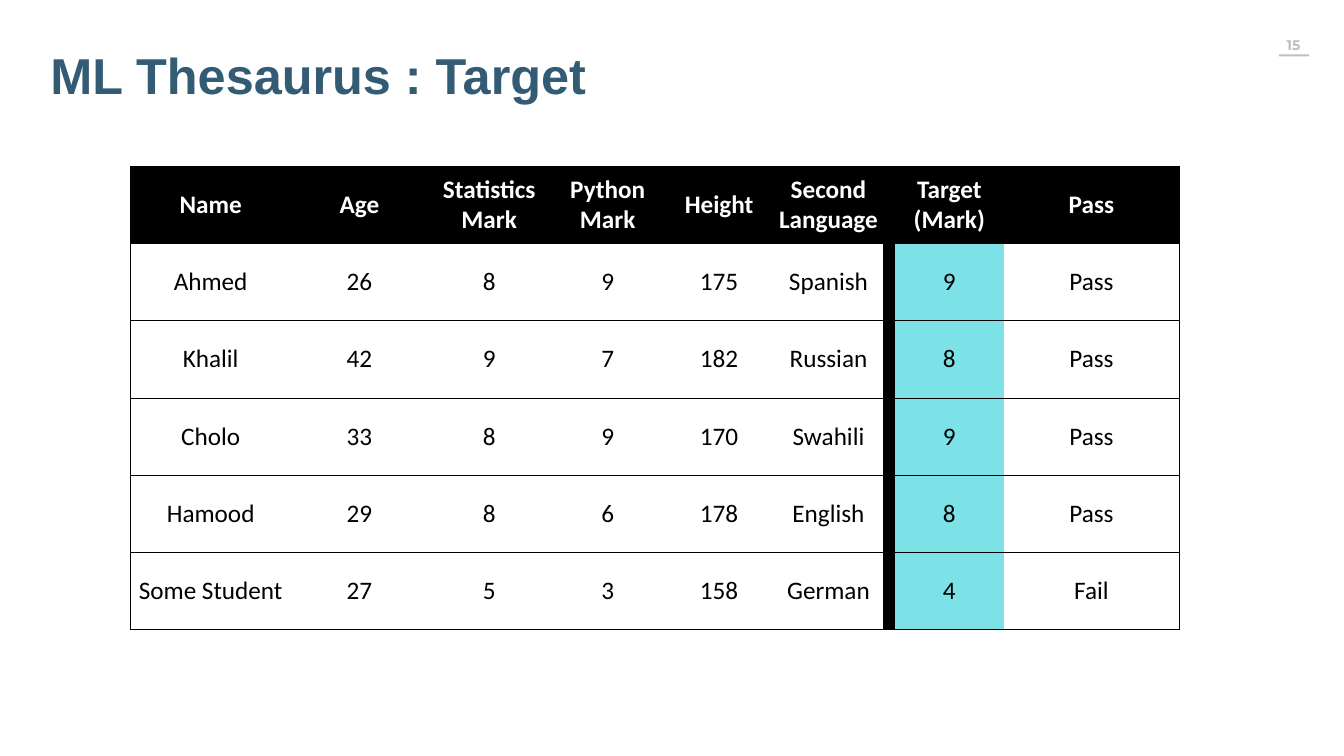
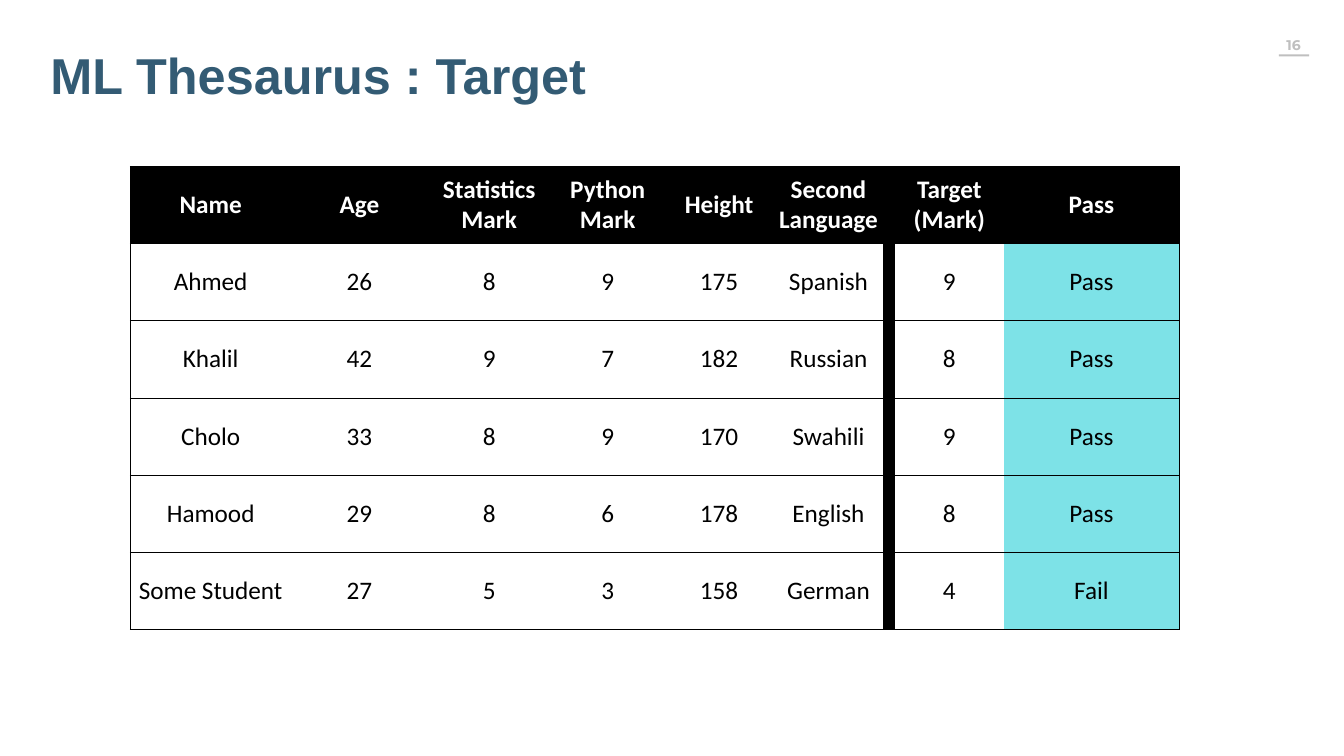
from dataclasses import dataclass

from lxml import etree
from pptx import Presentation
from pptx.dml.color import RGBColor
from pptx.enum.shapes import MSO_SHAPE
from pptx.enum.text import MSO_ANCHOR, MSO_AUTO_SIZE, PP_ALIGN
from pptx.oxml.ns import qn
from pptx.slide import Slide
from pptx.table import _Cell
from pptx.text.text import TextFrame
from pptx.util import Cm, Pt

RECTANGLE = MSO_SHAPE.RECTANGLE
MIDDLE = MSO_ANCHOR.MIDDLE
FIT_TEXT = MSO_AUTO_SIZE.SHAPE_TO_FIT_TEXT
LEFT, CENTER = PP_ALIGN.LEFT, PP_ALIGN.CENTER


@dataclass(frozen=True)
class TextStyle:
    font: str
    size: float
    color: str
    bold: bool
    align: PP_ALIGN


@dataclass(frozen=True)
class Theme:
    ink: str = "000000"
    highlight: str = "7DE2E7"
    muted: str = "BFBFBF"
    rule_width: float = 0.5
    title: TextStyle = TextStyle("Arial", 72, "335B74", True, LEFT)
    number: TextStyle = TextStyle("Montserrat", 20, "BFBFBF", True, CENTER)
    header: TextStyle = TextStyle("Calibri", 36, "FFFFFF", True, CENTER)
    body: TextStyle = TextStyle("Calibri", 36, "000000", False, CENTER)


@dataclass(frozen=True)
class Column:
    heading: str
    width: float
    values: tuple[str, ...] = ("",) * 5


@dataclass(frozen=True)
class TargetSlide:
    number: int
    target_column: int


THEME = Theme()
TITLE = "ML Thesaurus : Target"
COLUMNS = (
    Column("Name", 8.13, ("Ahmed", "Khalil", "Cholo", "Hamood", "Some Student")),
    Column("Age", 6.86, ("26", "42", "33", "29", "27")),
    Column("Statistics Mark", 6.22, ("8", "9", "8", "8", "5")),
    Column("Python Mark", 5.72, ("9", "7", "9", "6", "3")),
    Column("Height", 5.51, ("175", "182", "170", "178", "158")),
    Column("Second Language", 5.51, ("Spanish", "Russian", "Swahili", "English", "German")),
    Column("", 0.58),
    Column("Target\n(Mark)", 5.51, ("9", "8", "9", "8", "4")),
    Column("Pass", 8.81, ("Pass", "Pass", "Pass", "Pass", "Fail")),
)
DIVIDER = 6
ROW_HEIGHT = 3.89
SLIDES = (TargetSlide(15, 7), TargetSlide(16, 8))


def style_text(frame: TextFrame, style: TextStyle) -> None:
    """Apply one text style to every paragraph of a frame."""
    for para in frame.paragraphs:
        para.alignment = style.align
        for span in para.runs:
            span.font.name = style.font
            span.font.size = Pt(style.size)
            span.font.bold = style.bold
            span.font.color.rgb = RGBColor.from_string(style.color)


def draw_title(page: Slide) -> None:
    """Draw the shared slide title."""
    box = page.shapes.add_textbox(Cm(2.29), Cm(2.08), Cm(53.09), Cm(3.33))
    frame = box.text_frame
    frame.word_wrap = True
    frame.auto_size = FIT_TEXT
    frame.text = TITLE
    style_text(frame, THEME.title)


def draw_page_number(page: Slide, number: int) -> None:
    """Draw the underlined page number in the top right corner."""
    box = page.shapes.add_textbox(Cm(64.29), Cm(1.57), Cm(2.18), Cm(1.37))
    frame = box.text_frame
    frame.word_wrap = False
    frame.margin_left, frame.margin_right = Cm(0.51), Cm(0.91)
    frame.margin_top = frame.margin_bottom = Cm(0.25)
    frame.text = str(number)
    style_text(frame, THEME.number)

    underline = page.shapes.add_shape(RECTANGLE, Cm(64.44), Cm(2.74), Cm(1.52), Cm(0.1))
    underline.shadow.inherit = False
    underline.fill.solid()
    underline.fill.fore_color.rgb = RGBColor.from_string(THEME.muted)
    underline.line.fill.background()


def set_borders(cell: _Cell, left: bool, right: bool) -> None:
    """Rule a cell above and below, and at the sides when asked."""
    properties = cell._tc.get_or_add_tcPr()
    for side, visible in (("L", left), ("R", right), ("T", True), ("B", True)):
        line = etree.SubElement(properties, qn(f"a:ln{side}"))
        if visible:
            line.set("w", str(Pt(THEME.rule_width)))
            fill = etree.SubElement(line, qn("a:solidFill"))
            etree.SubElement(fill, qn("a:srgbClr"), val=THEME.ink)
        else:
            etree.SubElement(line, qn("a:noFill"))


def fill_cell(cell: _Cell, color: str | None) -> None:
    """Fill a cell with a colour, or leave it clear."""
    if color is None:
        cell.fill.background()
    else:
        cell.fill.solid()
        cell.fill.fore_color.rgb = RGBColor.from_string(color)


def draw_table(page: Slide, target_column: int) -> None:
    """Draw the student table with its target column highlighted."""
    row_count = len(COLUMNS[0].values) + 1
    width = sum(column.width for column in COLUMNS)
    table = page.shapes.add_table(
        row_count, len(COLUMNS), Cm(6.55), Cm(8.38), Cm(width), Cm(ROW_HEIGHT * row_count)
    ).table
    table.first_row = False
    table.horz_banding = False
    for row in table.rows:
        row.height = Cm(ROW_HEIGHT)

    last = len(COLUMNS) - 1
    body_fills = {DIVIDER: THEME.ink, target_column: THEME.highlight}
    for index, column in enumerate(COLUMNS):
        table.columns[index].width = Cm(column.width)
        for row_index, text in enumerate((column.heading, *column.values)):
            is_header = row_index == 0
            cell = table.cell(row_index, index)
            cell.margin_left = cell.margin_right = Cm(0.2)
            cell.vertical_anchor = MIDDLE
            cell.text_frame.text = text
            style_text(cell.text_frame, THEME.header if is_header else THEME.body)
            set_borders(cell, index == 0, index == last)
            fill_cell(cell, THEME.ink if is_header else body_fills.get(index))


def main() -> None:
    """Build and save the deck."""
    deck = Presentation()
    deck.slide_width, deck.slide_height = Cm(67.72), Cm(38.1)
    blank = deck.slide_layouts[6]
    for slide in SLIDES:
        page = deck.slides.add_slide(blank)
        draw_page_number(page, slide.number)
        draw_title(page)
        draw_table(page, slide.target_column)
    deck.save("out.pptx")


if __name__ == "__main__":
    main()
